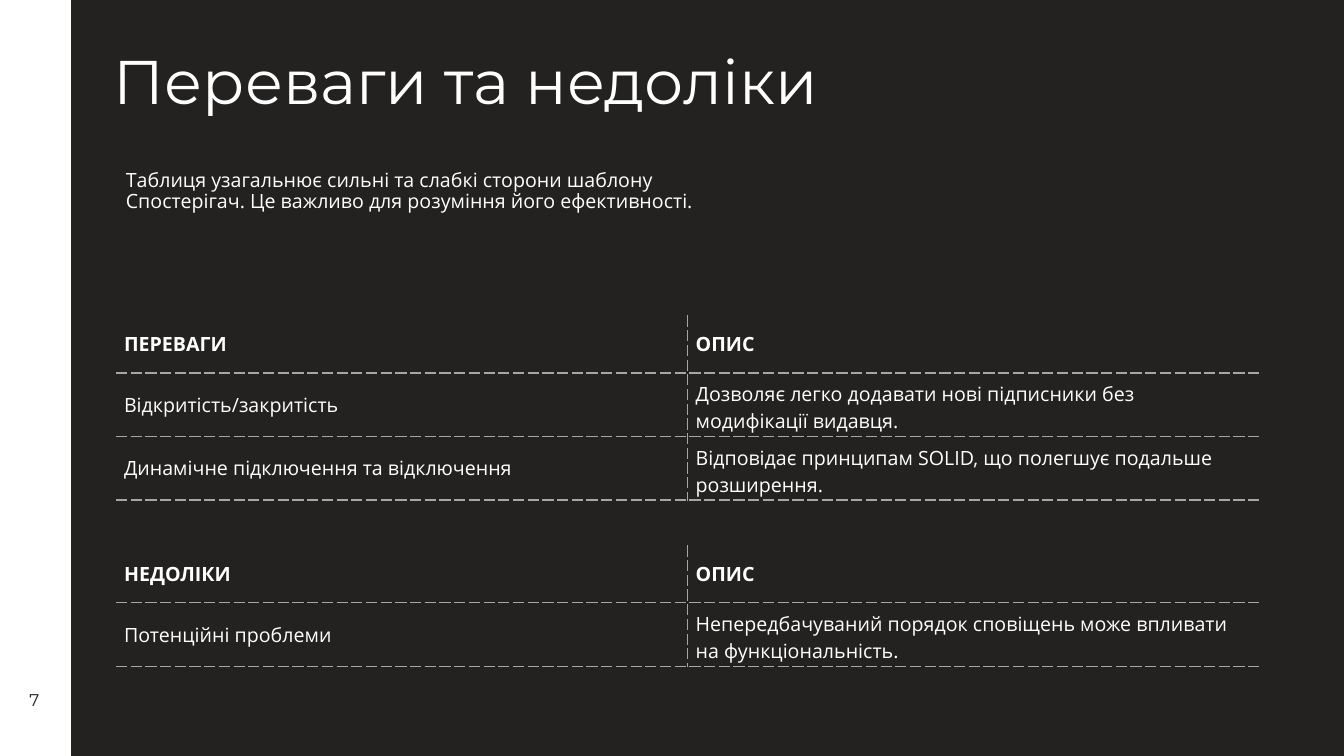
"""Build the slide on strengths and weaknesses of the Observer pattern."""
import pptx
import pptx.dml.color
import pptx.enum.shapes
import pptx.enum.text
import pptx.oxml
import pptx.util
from dataclasses import dataclass

Inches = pptx.util.Inches
Anchor = pptx.enum.text.MSO_ANCHOR
Align = pptx.enum.text.PP_ALIGN
DRAWING_NS = "http://schemas.openxmlformats.org/drawingml/2006/main"


@dataclass(frozen=True)
class Theme:
    dark: str = "232220"
    light: str = "FFFFFF"
    rule: str = "A6A6A6"
    heading_font: str = "Montserrat"
    body_font: str = "Open Sans"
    title_size: float = 44
    body_size: float = 14
    number_size: float = 12.1
    rule_width: float = 1
    edge_width: float = 1.5


theme = Theme()


def write(frame, text, size, font, color, bold=False, align=Align.LEFT, spacing=1.0):
    frame.word_wrap = True
    frame.vertical_anchor = Anchor.MIDDLE
    paragraph = frame.paragraphs[0]
    paragraph.alignment = align
    paragraph.line_spacing = spacing
    run = paragraph.add_run()
    run.text = text
    run.font.size = pptx.util.Pt(size)
    run.font.name = font
    run.font.bold = bold
    run.font.color.rgb = pptx.dml.color.RGBColor.from_string(color)


def add_border(cell, side, visible):
    width = pptx.util.Pt(theme.rule_width if visible else 0)
    paint = (
        f'<a:solidFill><a:srgbClr val="{theme.rule}"/></a:solidFill><a:prstDash val="sysDash"/>'
        if visible else "<a:noFill/>"
    )
    cell._tc.get_or_add_tcPr().append(pptx.oxml.parse_xml(
        f'<a:ln{side} xmlns:a="{DRAWING_NS}" w="{width}">{paint}</a:ln{side}>'
    ))


deck = pptx.Presentation()
deck.slide_width = Inches(13.33)
deck.slide_height = Inches(7.5)
slide = deck.slides.add_slide(deck.slide_layouts[5])
slide.background.fill.solid()
slide.background.fill.fore_color.rgb = pptx.dml.color.RGBColor.from_string(theme.dark)

sidebar = slide.shapes.add_shape(
    pptx.enum.shapes.MSO_SHAPE.RECTANGLE, 0, 0, Inches(0.69), Inches(7.5))
sidebar.shadow.inherit = False
sidebar.fill.solid()
sidebar.fill.fore_color.rgb = pptx.dml.color.RGBColor.from_string(theme.light)
sidebar.line.fill.background()

sidebar_edge = slide.shapes.add_connector(
    pptx.enum.shapes.MSO_CONNECTOR.STRAIGHT, Inches(0.69), 0, Inches(0.69), Inches(7.5))
sidebar_edge.line.color.rgb = pptx.dml.color.RGBColor.from_string(theme.light)
sidebar_edge.line.width = pptx.util.Pt(theme.edge_width)
sidebar_edge._element.spPr.append(
    pptx.oxml.parse_xml(f'<a:effectLst xmlns:a="{DRAWING_NS}"/>'))

title = slide.shapes.title
title.left, title.top = Inches(1.03), Inches(0.33)
title.width, title.height = Inches(11.26), Inches(0.93)
write(title.text_frame, "Переваги та недоліки",
      theme.title_size, theme.heading_font, theme.light)

summary = slide.shapes.add_textbox(Inches(1.15), Inches(1.47), Inches(6.6), Inches(0.86))
write(summary.text_frame,
      "Таблиця узагальнює сильні та слабкі сторони шаблону Спостерігач. "
      "Це важливо для розуміння його ефективності.",
      theme.body_size, theme.body_font, theme.light, spacing=0.9)

page_number = slide.shapes.add_textbox(0, Inches(6.75), Inches(0.68), Inches(0.39))
write(page_number.text_frame, "7", theme.number_size, theme.heading_font, theme.dark,
      align=Align.CENTER)

comparisons = [
    (3.13, [
        ("ПЕРЕВАГИ", "ОПИС"),
        ("Відкритість/закритість",
         "Дозволяє легко додавати нові підписники без модифікації видавця."),
        ("Динамічне підключення та відключення",
         "Відповідає принципам SOLID, що полегшує подальше розширення."),
    ]),
    (5.41, [
        ("НЕДОЛІКИ", "ОПИС"),
        ("Потенційні проблеми",
         "Непередбачуваний порядок сповіщень може впливати на функціональність."),
    ]),
]

for top, rows in comparisons:
    heights = [0.57] + [0.63] * (len(rows) - 1)
    comparison = slide.shapes.add_table(
        len(rows), 2, Inches(1.15), Inches(top), Inches(11.34), Inches(sum(heights))).table
    comparison.horz_banding = False
    comparison.first_row = False
    for column in comparison.columns:
        column.width = Inches(5.67)
    for row_index, row in enumerate(rows):
        comparison.rows[row_index].height = Inches(heights[row_index])
        for column_index, text in enumerate(row):
            cell = comparison.cell(row_index, column_index)
            cell.margin_left = cell.margin_right = Inches(0.08)
            cell.margin_top = cell.margin_bottom = Inches(0.08)
            write(cell.text_frame, text, theme.body_size, theme.body_font, theme.light,
                  bold=row_index == 0)
            cell.vertical_anchor = Anchor.MIDDLE
            add_border(cell, "L", column_index == 1)
            add_border(cell, "R", column_index == 0)
            add_border(cell, "T", row_index > 0)
            add_border(cell, "B", True)
            cell.fill.background()

deck.save("out.pptx")
